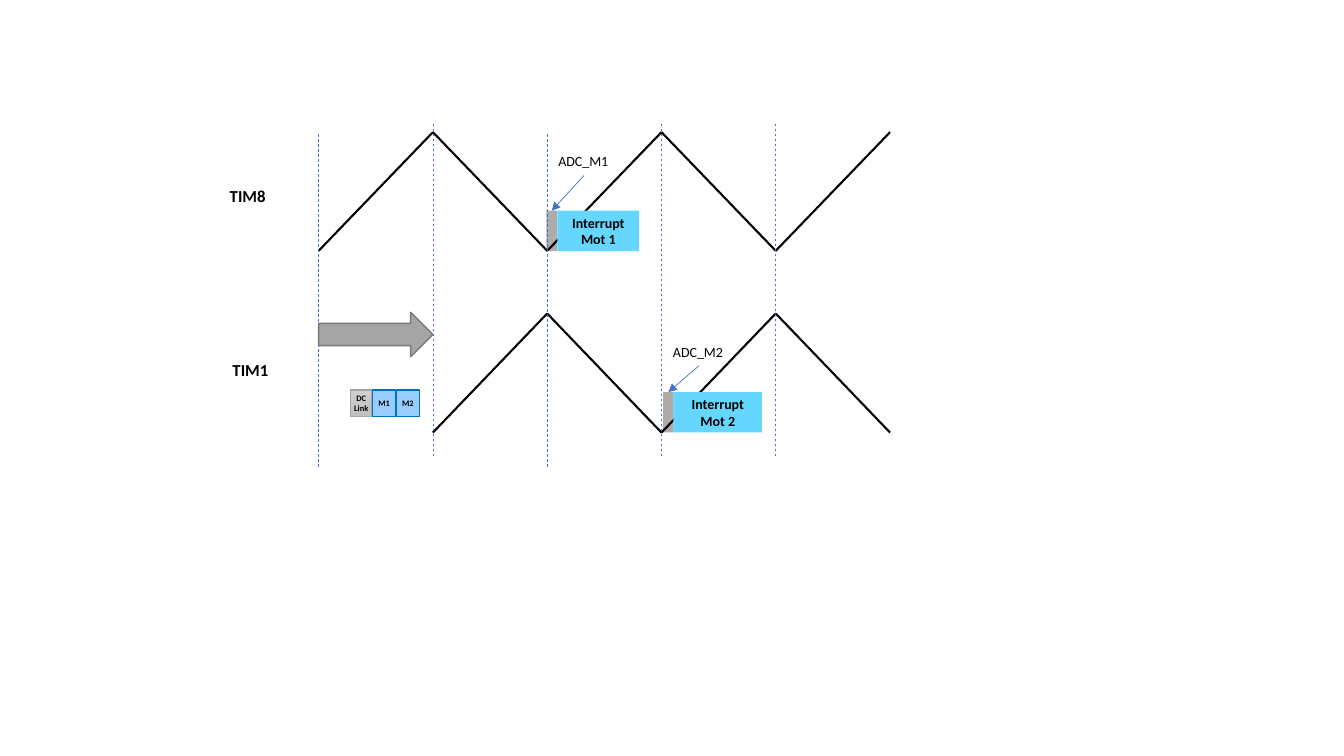
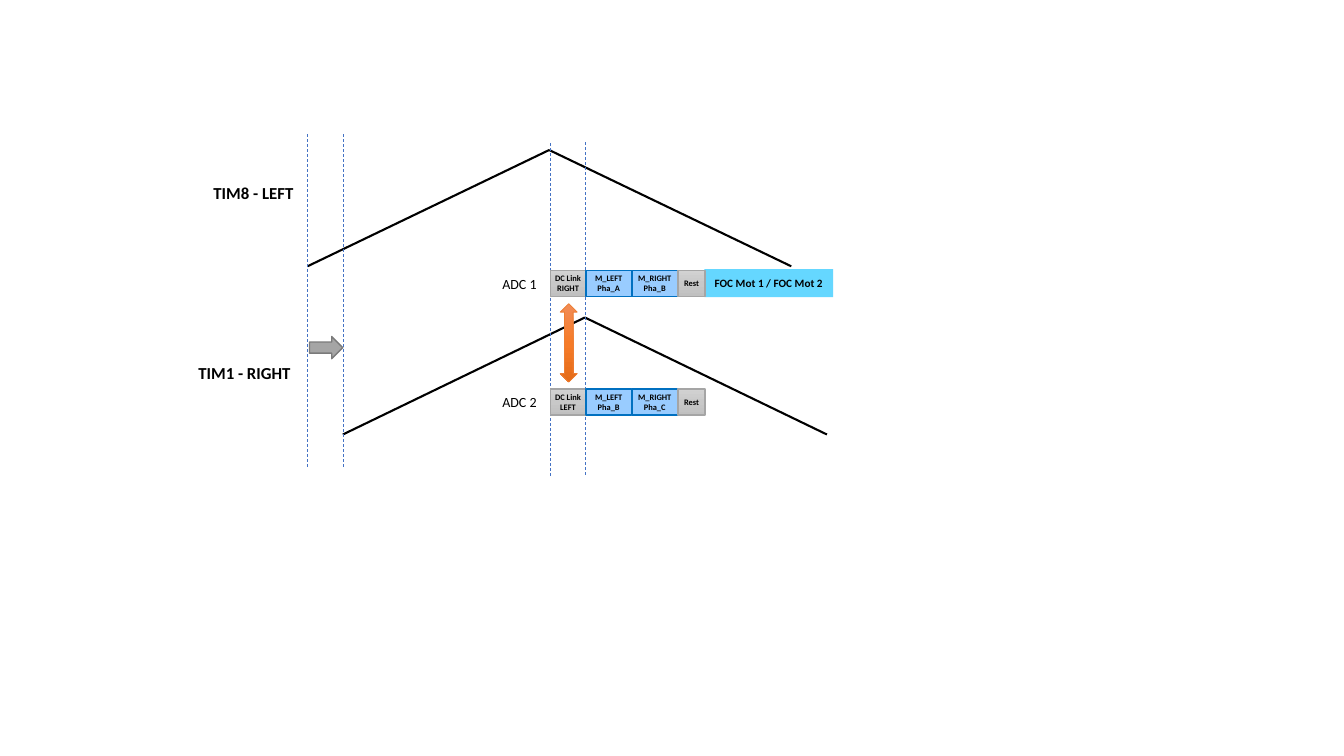
from copy import deepcopy

from pptx import Presentation
from pptx.dml.color import RGBColor
from pptx.enum.dml import MSO_LINE
from pptx.enum.shapes import MSO_CONNECTOR, MSO_SHAPE
from pptx.enum.text import MSO_ANCHOR, PP_ALIGN
from pptx.oxml.ns import qn
from pptx.oxml.xmlchemy import OxmlElement
from pptx.util import Cm, Pt

RECT = MSO_SHAPE.RECTANGLE
RIGHT_ARROW = MSO_SHAPE.RIGHT_ARROW
UP_DOWN_ARROW = MSO_SHAPE.UP_DOWN_ARROW
STRAIGHT = MSO_CONNECTOR.STRAIGHT
DASH = MSO_LINE.DASH
MIDDLE = MSO_ANCHOR.MIDDLE
CENTER = PP_ALIGN.CENTER
TOP, BOTTOM = 0, 2

FONT = "Calibri"
BLACK = "000000"
BLUE = "4472C4"
CYAN = "65D7FF"
ADC_GRAY = "AFABAB"
ARROW_GRAY, ARROW_EDGE = "A5A5A5", "7A7A7A"
GRAY_CELL = (("D2D2D2", "C8C8C8", "C0C0C0"), "A5A5A5")
BLUE_CELL = ("99CCFF", "0070C0")
ORANGE = ("F18C57", "F67B28", "E56C19")
CELL_H, CELL_GAP = 0.66, 0.02

rgb = RGBColor.from_string


def add_box(s, kind, x, y, w, h, fill=None, edge=None, text="", size=10,
            bold=True, edge_width=1):
    """Add a preset shape, or a plain text box when kind is None."""
    place = Cm(x), Cm(y), Cm(w), Cm(h)
    if kind is None:
        sp = s.shapes.add_textbox(*place)
    else:
        sp = s.shapes.add_shape(kind, *place)
        sp.shadow.inherit = False
        if isinstance(fill, tuple):
            sp.fill.gradient()
            sp.fill.gradient_angle = 270
            stops = sp._element.spPr.find(qn("a:gradFill")).find(qn("a:gsLst"))
            stops.insert(1, deepcopy(stops[0]))
            for i, stop in enumerate(sp.fill.gradient_stops):
                stop.position = i / 2
                stop.color.rgb = rgb(fill[i])
        else:
            sp.fill.solid()
            sp.fill.fore_color.rgb = rgb(fill)
        if edge:
            sp.line.color.rgb = rgb(edge)
            sp.line.width = Pt(edge_width)
        else:
            sp.line.fill.background()
    if text:
        tf = sp.text_frame
        tf.text = text
        tf.word_wrap = kind is not None
        if kind is not None:
            tf.vertical_anchor = MIDDLE
        if size < 10:
            tf.margin_left = tf.margin_right = tf.margin_top = tf.margin_bottom = 0
        for p in tf.paragraphs:
            if kind is not None:
                p.alignment = CENTER
            for r in p.runs:
                r.font.name = FONT
                r.font.size = Pt(size)
                r.font.bold = bold
                r.font.color.rgb = rgb(BLACK)
    return sp


def add_line(s, x1, y1, x2, y2, color=BLACK, width=1.5, dash=None):
    """Add a straight connector without a shadow."""
    c = s.shapes.add_connector(STRAIGHT, Cm(x1), Cm(y1), Cm(x2), Cm(y2))
    c.line.color.rgb = rgb(color)
    c.line.width = Pt(width)
    if dash:
        c.line.dash_style = dash
    c._element.spPr.append(OxmlElement("a:effectLst"))
    return c


prs = Presentation()
prs.slide_width, prs.slide_height = Cm(33.87), Cm(19.05)
timers, adcs = [prs.slides.add_slide(prs.slide_layouts[6]) for _ in range(2)]

# Slide 1: ADC sampling slots, behind the waves
GRID = [8.03 + 2.88 * i for i in range(6)]
slots = [add_box(timers, RECT, x, y, 0.27, 1.02, ADC_GRAY)
         for x, y in [(13.77, 5.31), (16.71, 9.88)]]

# Triangle waves: slide, x of each corner, low y, high y
waves = [
    (timers, GRID, 6.32, 3.33),
    (timers, GRID[1:], 10.9, 7.9),
    (adcs, [7.75, 13.84, 19.94], 6.71, 3.78),
    (adcs, [8.64, 14.74, 20.84], 10.95, 8.0),
]
for s, xs, low, high in waves:
    for i, (x1, x2) in enumerate(zip(xs, xs[1:])):
        y1, y2 = (high, low) if i % 2 else (low, high)
        add_line(s, x1, y1, x2, y2)

# Timer names
names = [
    (timers, 5.54, 4.55, 1.42, "TIM8"),
    (timers, 5.61, 8.94, 1.42, "TIM1"),
    (adcs, 5.13, 4.47, 2.57, "TIM8 - LEFT"),
    (adcs, 4.75, 9.02, 2.84, "TIM1 - RIGHT"),
]
for s, x, y, w, name in names:
    add_box(s, None, x, y, w, 0.76, text=name, size=12)

# Slide 1: ADC labels, pointers and interrupts
interrupts = [
    (13.82, 3.73, 14.05, 5.31, 2.06),
    (16.71, 8.53, 16.97, 9.88, 2.24),
]
for n, (slot, (lx, ly, x, y, w)) in enumerate(zip(slots, interrupts), 1):
    label = add_box(timers, None, lx, ly, 1.8, 0.69, text=f"ADC_M{n}", bold=False)
    pointer = add_line(timers, lx, ly, x, y, BLUE, 0.5)
    pointer.begin_connect(label, BOTTOM)
    pointer.end_connect(slot, TOP)
    tail = OxmlElement("a:tailEnd")
    tail.set("type", "triangle")
    pointer.line._get_or_add_ln().append(tail)
    add_box(timers, RECT, x, y, w, 1.02, CYAN, text=f"Interrupt Mot {n}")

# Dashed time marks: slide, x, top
marks = [(timers, x, top) for x, top in zip(GRID, [3.33, 3.07, 3.33, 3.07, 3.07])]
marks += [(adcs, 7.75, 3.33), (adcs, 8.66, 3.33), (adcs, 13.86, 3.56), (adcs, 14.76, 3.53)]
for s, x, top in marks:
    add_line(s, x, top + 8.43, x, top, BLUE, 0.5, DASH)

# Phase shift arrows
for s, x, y, w, h in [(timers, 8.03, 7.87, 2.88, 1.12), (adcs, 7.8, 8.48, 0.84, 0.56)]:
    add_box(s, RIGHT_ARROW, x, y, w, h, ARROW_GRAY, ARROW_EDGE)

# Slide 2: ADC names, FOC block and sync arrow
for n, y in enumerate([6.81, 9.8], 1):
    add_box(adcs, None, 12.41, y, 1.4, 0.69, text=f"ADC {n}", bold=False)
add_box(adcs, RECT, 17.75, 6.78, 3.25, 0.71, CYAN, text="FOC Mot 1 / FOC Mot 2", size=8)
add_box(adcs, UP_DOWN_ARROW, 14.12, 7.65, 0.43, 1.98, ORANGE, "ED7D31", edge_width=0.5)

# Conversion sequences: slide, left, top, cells of (width, text)
sequences = [
    (timers, 8.84, 9.83, [(0.53, "DC\nLink"), (0.58, "M1"), (0.58, "M2")]),
    (adcs, 13.88, 6.81, [(0.87, "DC Link\nRIGHT"), (1.14, "M_LEFT\nPha_A"),
                         (1.14, "M_RIGHT\nPha_B"), (0.68, "Rest")]),
    (adcs, 13.88, 9.8, [(0.87, "DC Link\nLEFT"), (1.14, "M_LEFT\nPha_B"),
                        (1.14, "M_RIGHT\nPha_C"), (0.68, "Rest")]),
]
for s, x, y, cells in sequences:
    for w, text in cells:
        fill, edge = BLUE_CELL if text.startswith("M") else GRAY_CELL
        add_box(s, RECT, x, y, w, CELL_H, fill, edge, text, size=6)
        x += w + CELL_GAP

prs.save("out.pptx")
